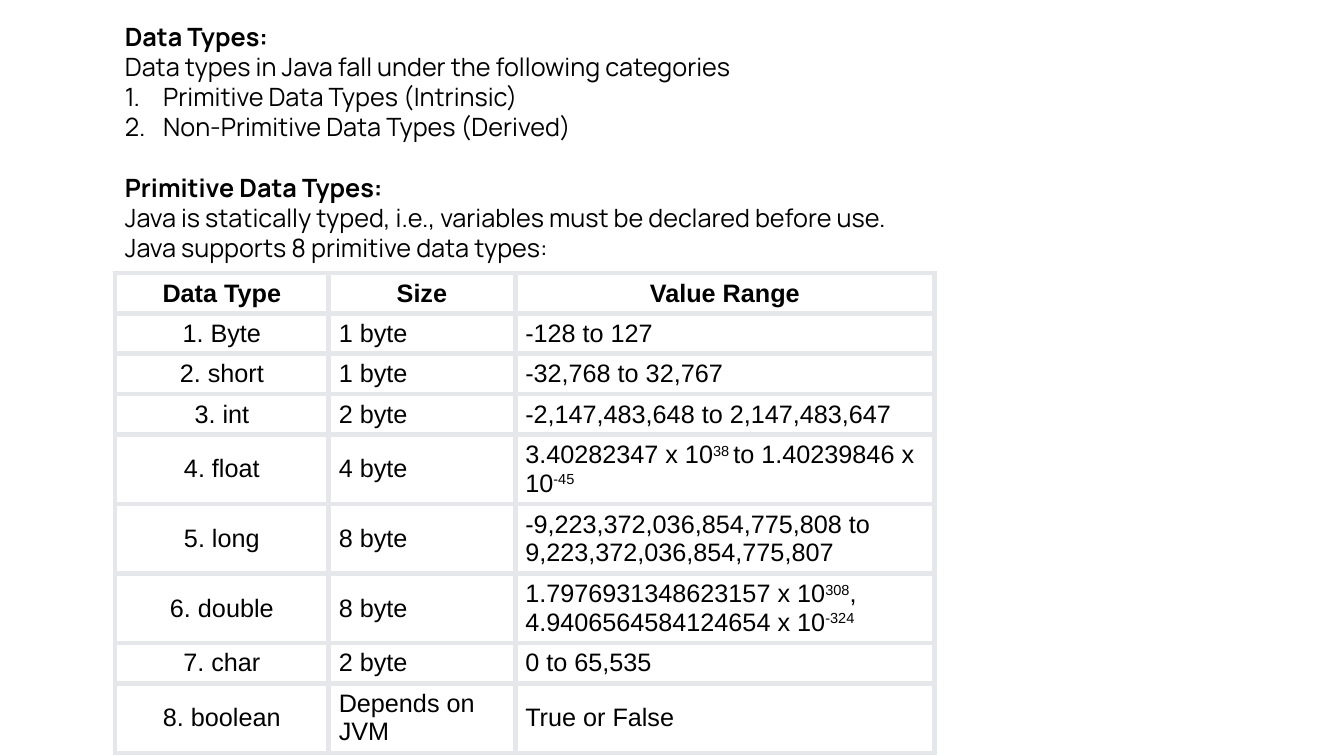
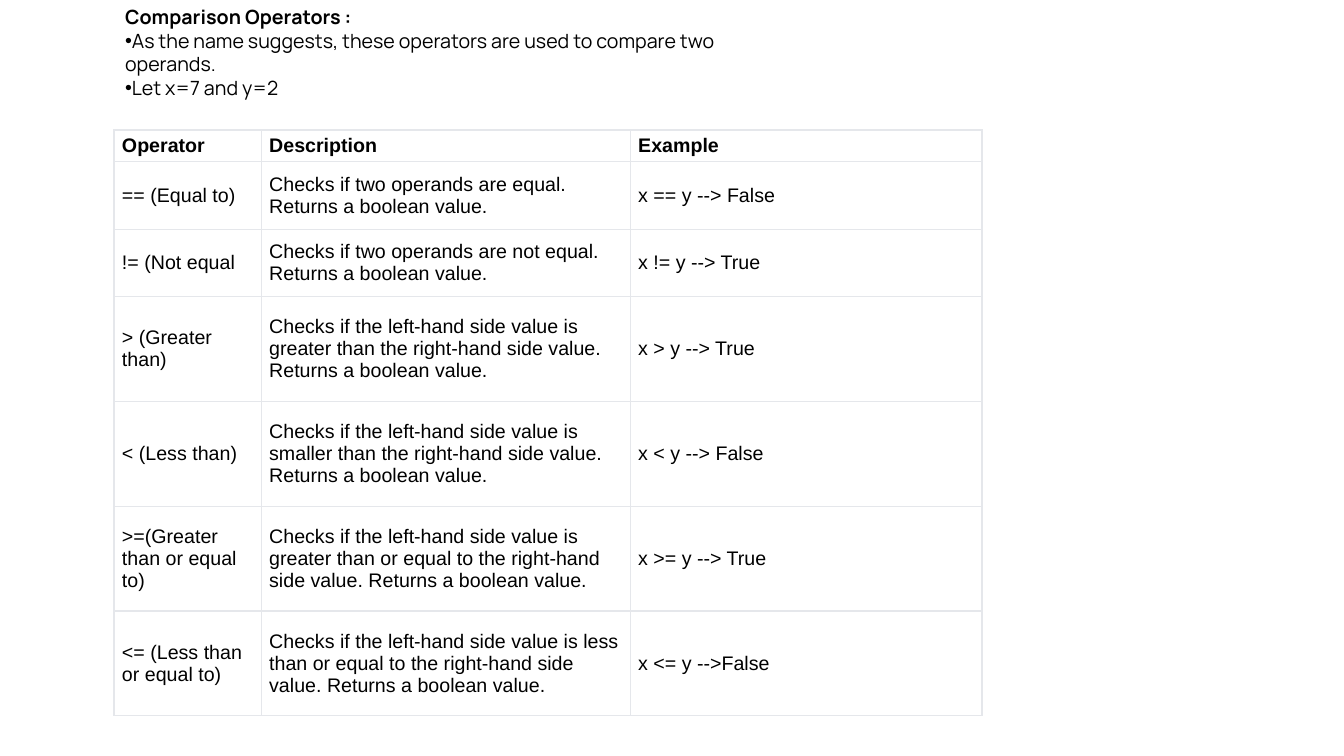
from dataclasses import dataclass
from typing import Optional

from lxml import etree
from pptx import Presentation
from pptx.dml.color import RGBColor
from pptx.enum import text
from pptx.oxml import ns
from pptx.util import Inches, Pt

BLACK = RGBColor(0x00, 0x00, 0x00)
BORDER = RGBColor(0xE5, 0xE7, 0xEB)
BODY_FONT = "Manrope"
TABLE_FONT = "Arial"
SUPERSCRIPT = "30000"


@dataclass(frozen=True)
class Line:
    text: str
    bold: bool = False
    bullet: Optional[tuple[str, dict[str, str]]] = None
    indent: float = 0
    gap_before: float = 0


@dataclass(frozen=True)
class TextBlock:
    box: tuple[float, float, float, float]
    insets: tuple[float, float, float, float]
    anchor: text.MSO_ANCHOR
    lines: list[Line]


@dataclass(frozen=True)
class Grid:
    left: float
    top: float
    columns: list[float]
    row_heights: list[float]
    rows: list[tuple[str, str, str]]
    border: float
    margin_x: float
    margin_y: float
    centred: bool = False


@dataclass(frozen=True)
class Page:
    size: int
    grid: Grid
    block: TextBlock


NUMBER = ("a:buAutoNum", {"type": "arabicPeriod"})
DOT = ("a:buChar", {"char": "•"})

# Text between a pair of ^ signs is superscript.
DATA_TYPES = Page(
    size=18,
    grid=Grid(
        left=1.14, top=2.71, columns=[2.12, 1.85, 4.16],
        row_heights=[0.4] * 4 + [0.69] * 3 + [0.4, 0.69],
        rows=[
            ("Data Type", "Size", "Value Range"),
            ("1. Byte", "1 byte", "-128 to 127"),
            ("2. short", "1 byte", "-32,768 to 32,767"),
            ("3. int", "2 byte", "-2,147,483,648 to 2,147,483,647"),
            ("4. float", "4 byte", "3.40282347 x 10^38 ^to 1.40239846 x 10^-45^"),
            ("5. long", "8 byte", "-9,223,372,036,854,775,808 to 9,223,372,036,854,775,807"),
            ("6. double", "8 byte", "1.7976931348623157 x 10^308^, 4.9406564584124654 x 10^-324^"),
            ("7. char", "2 byte", "0 to 65,535"),
            ("8. boolean", "Depends on JVM", "True or False"),
        ],
        border=3.75, margin_x=0.1, margin_y=0.05, centred=True,
    ),
    block=TextBlock(
        box=(1.14, 0.16, 8.27, 2.83), insets=(0.1, 0.05, 0.1, 0.05),
        anchor=text.MSO_ANCHOR.TOP,
        lines=[
            Line("Data Types:", bold=True),
            Line("Data types in Java fall under the following categories"),
            Line("Primitive Data Types (Intrinsic)", bullet=NUMBER, indent=0.38),
            Line("Non-Primitive Data Types (Derived)", bullet=NUMBER, indent=0.38),
            Line("Primitive Data Types:", bold=True, gap_before=21.6),
            Line("Java is statically typed, i.e., variables must be declared before use. "
                 "Java supports 8 primitive data types:"),
        ],
    ),
)


def check(condition: str) -> str:
    return f"Checks if {condition}. Returns a boolean value."


def check_sides(relation: str) -> str:
    return check(f"the left-hand side value is {relation} the right-hand side value")


OPERATORS = Page(
    size=14,
    grid=Grid(
        left=1.13, top=1.29, columns=[1.46, 3.66, 3.49],
        row_heights=[0.3] + [0.67] * 2 + [1.04] * 4,
        rows=[
            ("Operator", "Description", "Example"),
            ("== (Equal to)", check("two operands are equal"), "x == y --> False"),
            ("!= (Not equal", check("two operands are not equal"), "x != y --> True"),
            ("> (Greater than)", check_sides("greater than"), "x > y --> True"),
            ("< (Less than)", check_sides("smaller than"), "x < y --> False"),
            (">=(Greater than or equal to)", check_sides("greater than or equal to"),
             "x >= y --> True"),
            ("<= (Less than or equal to)", check_sides("less than or equal to"),
             "x <= y -->False"),
        ],
        border=1, margin_x=0.08, margin_y=0.04,
    ),
    block=TextBlock(
        box=(0.85, 0.05, 7.15, 0.94), insets=(0.39, 0, 0, 0),
        anchor=text.MSO_ANCHOR.MIDDLE,
        lines=[
            Line("Comparison Operators :", bold=True),
            Line("As the name suggests, these operators are used to compare two operands.",
                 bullet=DOT),
            Line("Let x=7 and y=2", bullet=DOT),
        ],
    ),
)


def add_runs(p, content: str, font: str, size: int, bold: bool) -> None:
    """Add runs, raising the pieces between ^ signs."""
    for i, piece in enumerate(content.split("^")):
        if not piece:
            continue
        r = p.add_run()
        r.text = piece
        for name, value in {"name": font, "size": Pt(size), "bold": bold}.items():
            setattr(r.font, name, value)
        r.font.color.rgb = BLACK
        if i % 2:
            r.font._element.set("baseline", SUPERSCRIPT)


def add_bullet(p, line: Line) -> None:
    pPr = p._p.get_or_add_pPr()
    pPr.set("marL", str(Inches(line.indent)))
    pPr.set("indent", str(-Inches(line.indent)))
    colour = etree.SubElement(pPr, ns.qn("a:buClr"))
    etree.SubElement(colour, ns.qn("a:srgbClr"), val=str(BLACK))
    etree.SubElement(pPr, ns.qn("a:buFont"), typeface=TABLE_FONT)
    tag, attributes = line.bullet
    etree.SubElement(pPr, ns.qn(tag), attributes)


def add_text(slide, block: TextBlock, size: int) -> None:
    tf = slide.shapes.add_textbox(*map(Inches, block.box)).text_frame
    left, top, right, bottom = map(Inches, block.insets)
    settings = {
        "word_wrap": True, "auto_size": text.MSO_AUTO_SIZE.SHAPE_TO_FIT_TEXT,
        "vertical_anchor": block.anchor, "margin_left": left, "margin_top": top,
        "margin_right": right, "margin_bottom": bottom,
    }
    for name, value in settings.items():
        setattr(tf, name, value)
    for i, line in enumerate(block.lines):
        p = tf.add_paragraph() if i else tf.paragraphs[0]
        if line.gap_before:
            p.space_before = Pt(line.gap_before)
        if line.bullet:
            add_bullet(p, line)
        add_runs(p, line.text, BODY_FONT, size, line.bold)


def set_borders(cell, width: float) -> None:
    tcPr = cell._tc.get_or_add_tcPr()
    for i, side in enumerate(("a:lnL", "a:lnR", "a:lnT", "a:lnB")):
        ln = etree.Element(ns.qn(side), w=str(Pt(width)))
        fill = etree.SubElement(ln, ns.qn("a:solidFill"))
        etree.SubElement(fill, ns.qn("a:srgbClr"), val=str(BORDER))
        tcPr.insert(i, ln)


def add_grid(slide, grid: Grid, size: int) -> None:
    frame = slide.shapes.add_table(
        len(grid.rows), len(grid.columns), Inches(grid.left), Inches(grid.top),
        Inches(sum(grid.columns)), Inches(sum(grid.row_heights)))
    table = frame.table
    table.first_row = table.horz_banding = False
    for column, width in zip(table.columns, grid.columns):
        column.width = Inches(width)
    settings = {
        "vertical_anchor": text.MSO_ANCHOR.MIDDLE,
        "margin_left": Inches(grid.margin_x), "margin_right": Inches(grid.margin_x),
        "margin_top": Inches(grid.margin_y), "margin_bottom": Inches(grid.margin_y),
    }
    for i, (row, height) in enumerate(zip(grid.rows, grid.row_heights)):
        table.rows[i].height = Inches(height)
        for j, content in enumerate(row):
            cell = table.cell(i, j)
            for name, value in settings.items():
                setattr(cell, name, value)
            cell.fill.background()
            set_borders(cell, grid.border)
            p = cell.text_frame.paragraphs[0]
            if grid.centred and (i == 0 or j == 0):
                p.alignment = text.PP_ALIGN.CENTER
            add_runs(p, content, TABLE_FONT, size, bold=i == 0)


def main() -> None:
    prs = Presentation()
    prs.slide_width, prs.slide_height = Inches(13.33), Inches(7.5)
    for page in (DATA_TYPES, OPERATORS):
        slide = prs.slides.add_slide(prs.slide_layouts[6])
        add_grid(slide, page.grid, page.size)
        add_text(slide, page.block, page.size)
    prs.save("out.pptx")


if __name__ == "__main__":
    main()
